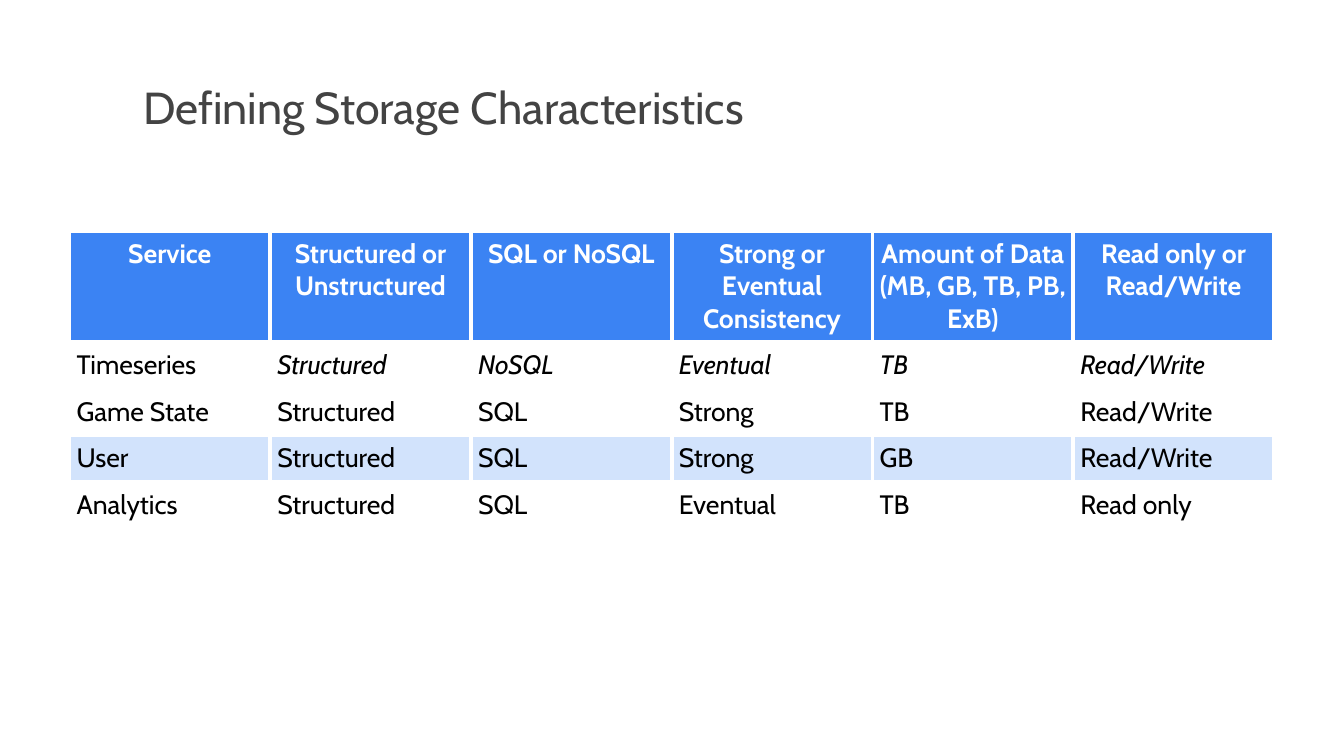
import pptx
import pptx.dml.color
import pptx.enum.text
import pptx.oxml
import pptx.oxml.ns
import pptx.util
from pptx.dml.color import RGBColor
from pptx.util import Cm

FONT = "Cabin"
WHITE = RGBColor(0xFF, 0xFF, 0xFF)
BLACK = RGBColor(0x00, 0x00, 0x00)
GREY = RGBColor(0x43, 0x43, 0x43)
BLUE = RGBColor(0x3B, 0x83, 0xF3)
PALE_BLUE = RGBColor(0xD2, 0xE3, 0xFC)

INSET = Cm(0.18)
BORDER = pptx.util.Pt(3)
COLUMN_WIDTH = Cm(5.06)
HEADER_HEIGHT = Cm(2.72)
BODY_HEIGHT = Cm(1.15)

HEADERS = [
    "Service", "Structured or Unstructured", "SQL or NoSQL",
    "Strong or Eventual Consistency", "Amount of Data (MB, GB, TB, PB, ExB)",
    "Read only or Read/Write",
]
SERVICES = [
    ["Timeseries", "Structured", "NoSQL", "Eventual", "TB", "Read/Write"],
    ["Game State", "Structured", "SQL", "Strong", "TB", "Read/Write"],
    ["User", "Structured", "SQL", "Strong", "GB", "Read/Write"],
    ["Analytics", "Structured", "SQL", "Eventual", "TB", "Read only"],
]
EXAMPLE_ROW = 1
SHADED_ROW = 3


def write_text(frame, text, size=19, color=BLACK, bold=False, italic=False,
               align=pptx.enum.text.PP_ALIGN.LEFT, line_spacing=1.0):
    frame.word_wrap = True
    para = frame.paragraphs[0]
    para.alignment = align
    para.line_spacing = line_spacing
    span = para.add_run()
    span.text = text
    span.font.name = FONT
    span.font.size = pptx.util.Pt(size)
    span.font.color.rgb = color
    span.font.bold = bold
    span.font.italic = italic


def set_insets(target):
    target.margin_left = target.margin_right = INSET
    target.margin_top = target.margin_bottom = INSET


def set_borders(cell):
    """Draw all four cell edges; they must precede the fill in the XML."""
    properties = cell._tc.get_or_add_tcPr()
    for index, edge in enumerate(("lnL", "lnR", "lnT", "lnB")):
        properties.insert(index, pptx.oxml.parse_xml(
            f'<a:{edge} {pptx.oxml.ns.nsdecls("a")} w="{BORDER}">'
            f'<a:solidFill><a:srgbClr val="{WHITE}"/></a:solidFill></a:{edge}>'))


def format_cell(cell, fill=None):
    set_insets(cell)
    if fill is None:
        cell.fill.background()
    else:
        cell.fill.solid()
        cell.fill.fore_color.rgb = fill
    set_borders(cell)


def add_title(page, text):
    title = page.shapes.title
    title.left, title.top = Cm(3.43), Cm(1.98)
    title.width, title.height = Cm(27.08), Cm(1.98)
    frame = title.text_frame
    set_insets(frame)
    frame.vertical_anchor = pptx.enum.text.MSO_ANCHOR.TOP
    frame.auto_size = pptx.enum.text.MSO_AUTO_SIZE.NONE
    write_text(frame, text, size=32, color=GREY, line_spacing=0.9)


def add_storage_table(page):
    row_count, column_count = len(SERVICES) + 1, len(HEADERS)
    table = page.shapes.add_table(
        row_count, column_count, Cm(1.75), Cm(5.82),
        COLUMN_WIDTH * column_count,
        HEADER_HEIGHT + BODY_HEIGHT * len(SERVICES)).table
    table.horz_banding = False
    for column in table.columns:
        column.width = COLUMN_WIDTH
    for index, row in enumerate(table.rows):
        row.height = BODY_HEIGHT if index else HEADER_HEIGHT

    for column, header in enumerate(HEADERS):
        cell = table.cell(0, column)
        format_cell(cell, fill=BLUE)
        write_text(cell.text_frame, header, color=WHITE, bold=True,
                   align=pptx.enum.text.PP_ALIGN.CENTER)
    for row, values in enumerate(SERVICES, start=1):
        for column, value in enumerate(values):
            cell = table.cell(row, column)
            format_cell(cell, fill=PALE_BLUE if row == SHADED_ROW else None)
            write_text(cell.text_frame, value,
                       italic=row == EXAMPLE_ROW and column > 0)


def main():
    deck = pptx.Presentation()
    deck.slide_width, deck.slide_height = Cm(33.87), Cm(19.05)
    page = deck.slides.add_slide(deck.slide_layouts.get_by_name("Title Only"))
    page.background.fill.solid()
    page.background.fill.fore_color.rgb = WHITE
    add_title(page, "Defining Storage Characteristics")
    add_storage_table(page)
    deck.save("out.pptx")


if __name__ == "__main__":
    main()
